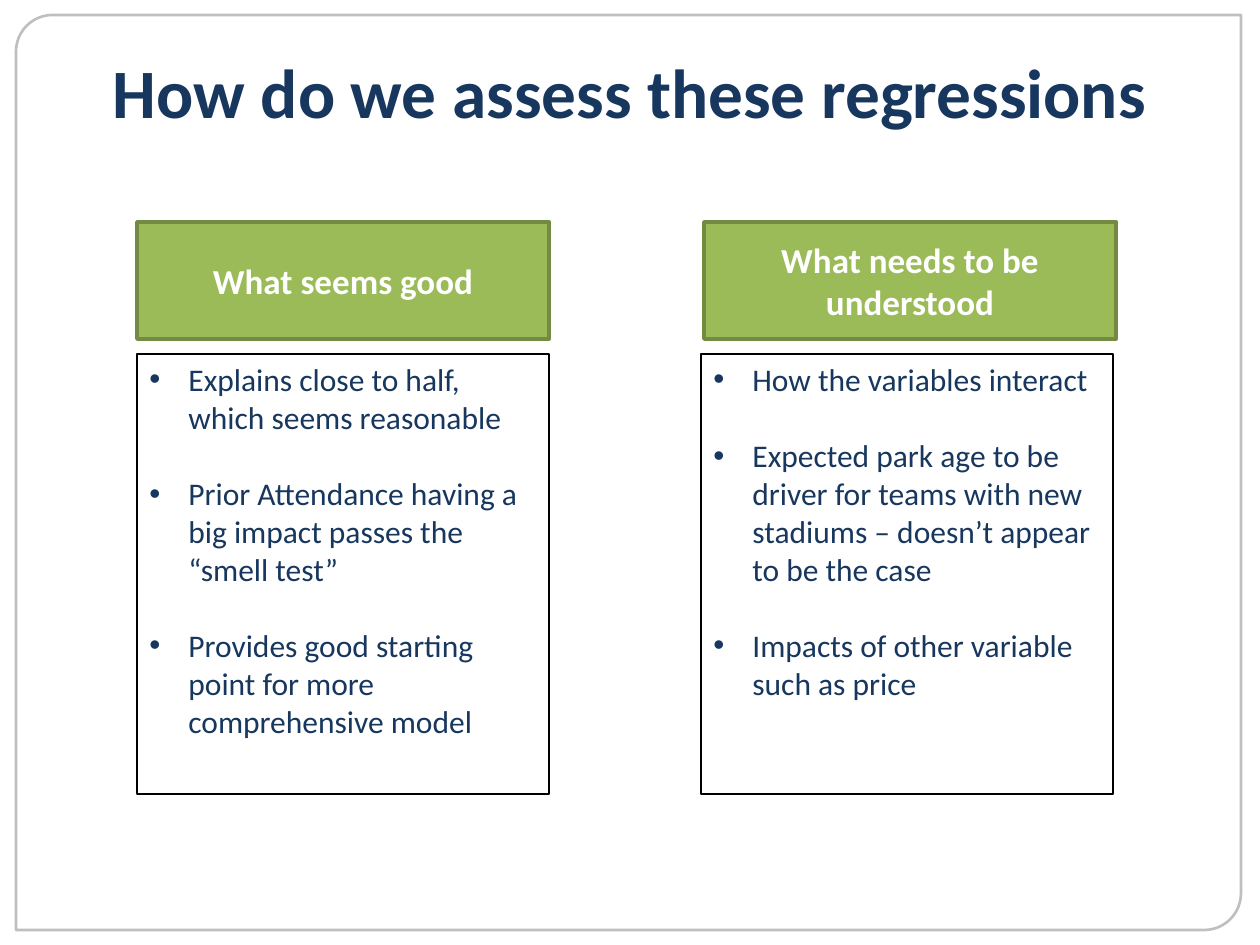
import pptx
import pptx.util
import pptx.dml.color
import pptx.enum.shapes
import pptx.enum.text
import lxml.etree

EMU_PER_PX = 914400 / 126
COLORS = {
    "navy": "17375E",
    "green": "9BBB59",
    "dark green": "738A42",
    "gray": "BFBFBF",
    "white": "FFFFFF",
    "black": "000000",
}
SHAPES = pptx.enum.shapes.MSO_SHAPE
ANCHOR = pptx.enum.text.MSO_ANCHOR
ALIGN = pptx.enum.text.PP_ALIGN


def px(*lengths):
    return [pptx.util.Emu(round(length * EMU_PER_PX)) for length in lengths]


def add_box(kind, box, fill, line, width):
    shape = slide.shapes.add_shape(kind, *px(*box))
    shape.shadow.inherit = False
    if fill:
        shape.fill.solid()
        shape.fill.fore_color.rgb = pptx.dml.color.RGBColor.from_string(COLORS[fill])
    else:
        shape.fill.background()
    shape.line.color.rgb = pptx.dml.color.RGBColor.from_string(COLORS[line])
    shape.line.width = pptx.util.Pt(width)
    return shape


presentation = pptx.Presentation()
presentation.slide_width, presentation.slide_height = px(1260, 945)
slide = presentation.slides.add_slide(presentation.slide_layouts[5])

# Title
title = slide.shapes.title
title.left, title.top, title.width, title.height = px(63, 38, 1134, 105)
title.text_frame.text = "How do we assess these regressions"
title.text_frame.vertical_anchor = ANCHOR.MIDDLE
texts = [(title.text_frame.paragraphs[0], 39.6, True, "navy")]

# Page frame, behind the title
frame = add_box(SHAPES.ROUND_2_DIAG_RECTANGLE, (16, 15, 1225, 915), "white", "gray", 1.5)
frame.adjustments[0] = 0.04
frame.adjustments[1] = 0
title.element.addprevious(frame.element)

# Columns: header left, list left, header, points
columns = [
    (137, 137, "What seems good", [
        "Explains close to half, which seems reasonable",
        "Prior Attendance having a big impact passes the “smell test”",
        "Provides good starting point for more comprehensive model",
    ]),
    (704, 701, "What needs to be understood", [
        "How the variables interact",
        "Expected park age to be driver for teams with new stadiums – doesn’t appear to be the case",
        "Impacts of other variable such as price",
    ]),
]
for header_left, list_left, heading, points in columns:
    header = add_box(SHAPES.RECTANGLE, (header_left, 222, 412, 117), "green", "dark green", 2)
    header.text_frame.text = heading
    header.text_frame.vertical_anchor = ANCHOR.MIDDLE
    texts.append((header.text_frame.paragraphs[0], 20, True, "white"))

    point_list = add_box(SHAPES.RECTANGLE, (list_left, 354, 412, 440), None, "black", 0.75)
    point_list.text_frame.text = "\n".join(points)
    point_list.text_frame.vertical_anchor = ANCHOR.TOP
    for index, paragraph in enumerate(point_list.text_frame.paragraphs):
        properties = paragraph._p.get_or_add_pPr()
        indent = px(39)[0]
        properties.set("marL", str(indent))
        properties.set("indent", str(-indent))
        for tag, name, value in [("buFont", "typeface", "Arial"), ("buChar", "char", "•")]:
            bullet = lxml.etree.SubElement(properties, pptx.oxml.ns.qn("a:" + tag))
            bullet.set(name, value)
        if index:
            paragraph.space_before = pptx.util.Pt(22)
        texts.append((paragraph, 18, False, "navy"))

# Text formatting
for paragraph, size, bold, color in texts:
    paragraph.alignment = ALIGN.CENTER if bold else ALIGN.LEFT
    paragraph.font.name = "Calibri"
    paragraph.font.size = pptx.util.Pt(size)
    paragraph.font.bold = bold
    paragraph.font.color.rgb = pptx.dml.color.RGBColor.from_string(COLORS[color])

presentation.save("out.pptx")
